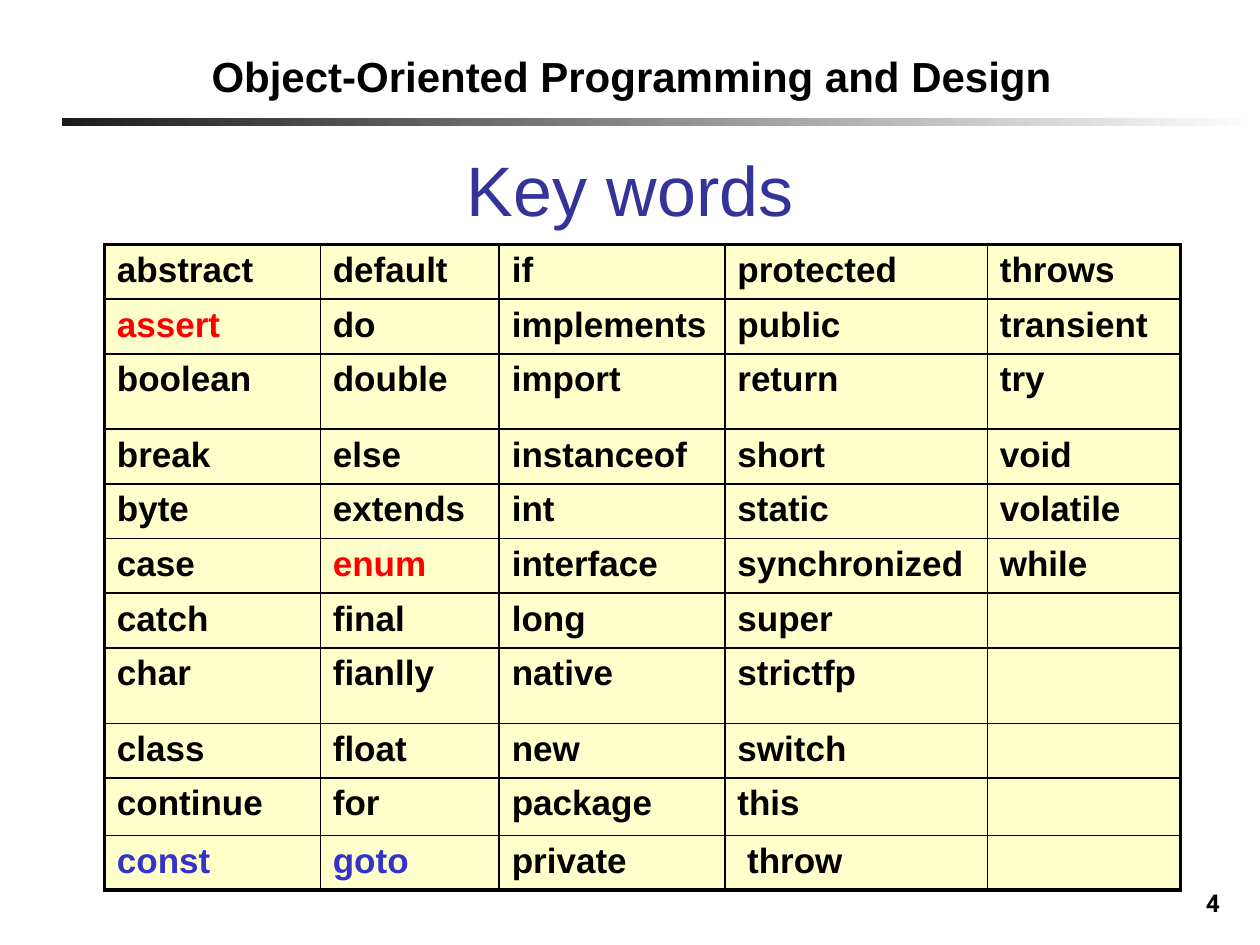
from lxml import etree
from pptx import Presentation
from pptx.dml.color import RGBColor
from pptx.enum.shapes import MSO_SHAPE
from pptx.enum.text import MSO_ANCHOR, MSO_AUTO_SIZE, PP_ALIGN
from pptx.oxml.ns import qn
from pptx.util import Pt

RECTANGLE = MSO_SHAPE.RECTANGLE
BOTTOM, TOP = MSO_ANCHOR.BOTTOM, MSO_ANCHOR.TOP
LEFT, CENTER, RIGHT = PP_ALIGN.LEFT, PP_ALIGN.CENTER, PP_ALIGN.RIGHT
NO_FIT = MSO_AUTO_SIZE.NONE
TITLE_ONLY = 5

COLORS = {
    "black": "000000",
    "title": "333399",
    "cell": "FFFFCC",
    "added": "FF0000",
    "reserved": "3333CC",
    "rule_start": "1C1C1C",
    "rule_end": "FFFFFF",
}
KEYWORDS = [
    ["abstract", "default", "if", "protected", "throws"],
    ["assert", "do", "implements", "public", "transient"],
    ["boolean", "double", "import", "return", "try"],
    ["break", "else", "instanceof", "short", "void"],
    ["byte", "extends", "int", "static", "volatile"],
    ["case", "enum", "interface", "synchronized", "while"],
    ["catch", "final", "long", "super", ""],
    ["char", "fianlly", "native", "strictfp", ""],
    ["class", "float", "new", "switch", ""],
    ["continue", "for", "package", "this", ""],
    ["const", "goto", "private", " throw", ""],
]
WORD_COLORS = {"assert": "added", "enum": "added", "const": "reserved", "goto": "reserved"}
COLUMN_WIDTHS = [123.4, 102.3, 128.9, 150, 110.5]
ROW_HEIGHT = 31.2
TALL_ROWS = {2: 43.1, 7: 43.1, 9: 32.9}
THIN, THICK = 1, 2.25


def rgb(name):
    """Return the named colour."""
    return RGBColor.from_string(COLORS[name])


def write(frame, text, size, color="black", bold=True, font="Arial", align=LEFT):
    """Put one formatted line of text into a frame."""
    frame.text = text
    para = frame.paragraphs[0]
    para.alignment = align
    for span in para.runs:
        span.font.name = font
        span.font.size = Pt(size)
        span.font.bold = bold
        span.font.color.rgb = rgb(color)


def add_text(page, box, text, size, anchor=TOP, wrap=True, **style):
    """Add a text box holding one line."""
    frame = page.shapes.add_textbox(*map(Pt, box)).text_frame
    frame.word_wrap = wrap
    frame.vertical_anchor = anchor
    write(frame, text, size, **style)


def add_header(page, box):
    """Add the course name above a fading rule."""
    left, top, width, height = box
    rule = page.shapes.add_shape(
        RECTANGLE, Pt(left), Pt(top + height - 4.5), Pt(width), Pt(4.5))
    rule.shadow.inherit = False
    rule.line.fill.background()
    rule.fill.gradient()
    rule.fill.gradient_angle = 0
    for stop, position, name in zip(
            rule.fill.gradient_stops, (0, 1), ("rule_start", "rule_end")):
        stop.position = position
        stop.color.rgb = rgb(name)
    add_text(page, (left + 78.4, top, 499, 36),
             "Object-Oriented Programming and Design", 24, wrap=False)


def set_title(page, box):
    """Place and format the title placeholder."""
    title = page.shapes.title
    title.left, title.top, title.width, title.height = map(Pt, box)
    frame = title.text_frame
    frame.auto_size = NO_FIT
    frame.vertical_anchor = BOTTOM
    write(frame, "Key words", 40, color="title", bold=False, align=CENTER)


def set_borders(cell, widths):
    """Draw the left, right, top and bottom borders of a cell."""
    properties = cell._tc.get_or_add_tcPr()
    for side, width in zip("LRTB", widths):
        line = etree.SubElement(properties, qn(f"a:ln{side}"), w=str(Pt(width)))
        fill = etree.SubElement(line, qn("a:solidFill"))
        etree.SubElement(fill, qn("a:srgbClr"), val=COLORS["black"])


def add_keyword_table(page, box):
    """Add the keyword grid with a thick outer frame."""
    row_count, column_count = len(KEYWORDS), len(COLUMN_WIDTHS)
    table = page.shapes.add_table(row_count, column_count, *map(Pt, box)).table
    table.first_row = table.horz_banding = False
    for column, width in zip(table.columns, COLUMN_WIDTHS):
        column.width = Pt(width)
    for r, words in enumerate(KEYWORDS):
        table.rows[r].height = Pt(TALL_ROWS.get(r, ROW_HEIGHT))
        for c, word in enumerate(words):
            cell = table.cell(r, c)
            on_edge = (c == 0, c == column_count - 1, r == 0, r == row_count - 1)
            set_borders(cell, [THICK if edge else THIN for edge in on_edge])
            cell.fill.solid()
            cell.fill.fore_color.rgb = rgb("cell")
            write(cell.text_frame, word, 20, color=WORD_COLORS.get(word, "black"))


def main():
    """Build and save the slide."""
    deck = Presentation()
    deck.slide_width, deck.slide_height = Pt(720), Pt(540)
    page = deck.slides.add_slide(deck.slide_layouts[TITLE_ONLY])
    add_header(page, (35.4, 25.2, 684.6, 46.8))
    set_title(page, (0, 20.2, 720, 115.2))
    add_keyword_table(page, (59.6, 139.7, 615.1, 368.6))
    add_text(page, (554.4, 491.8, 149.8, 36), "4", 14, anchor=BOTTOM,
             font="Roboto", align=RIGHT)
    deck.save("out.pptx")


if __name__ == "__main__":
    main()
